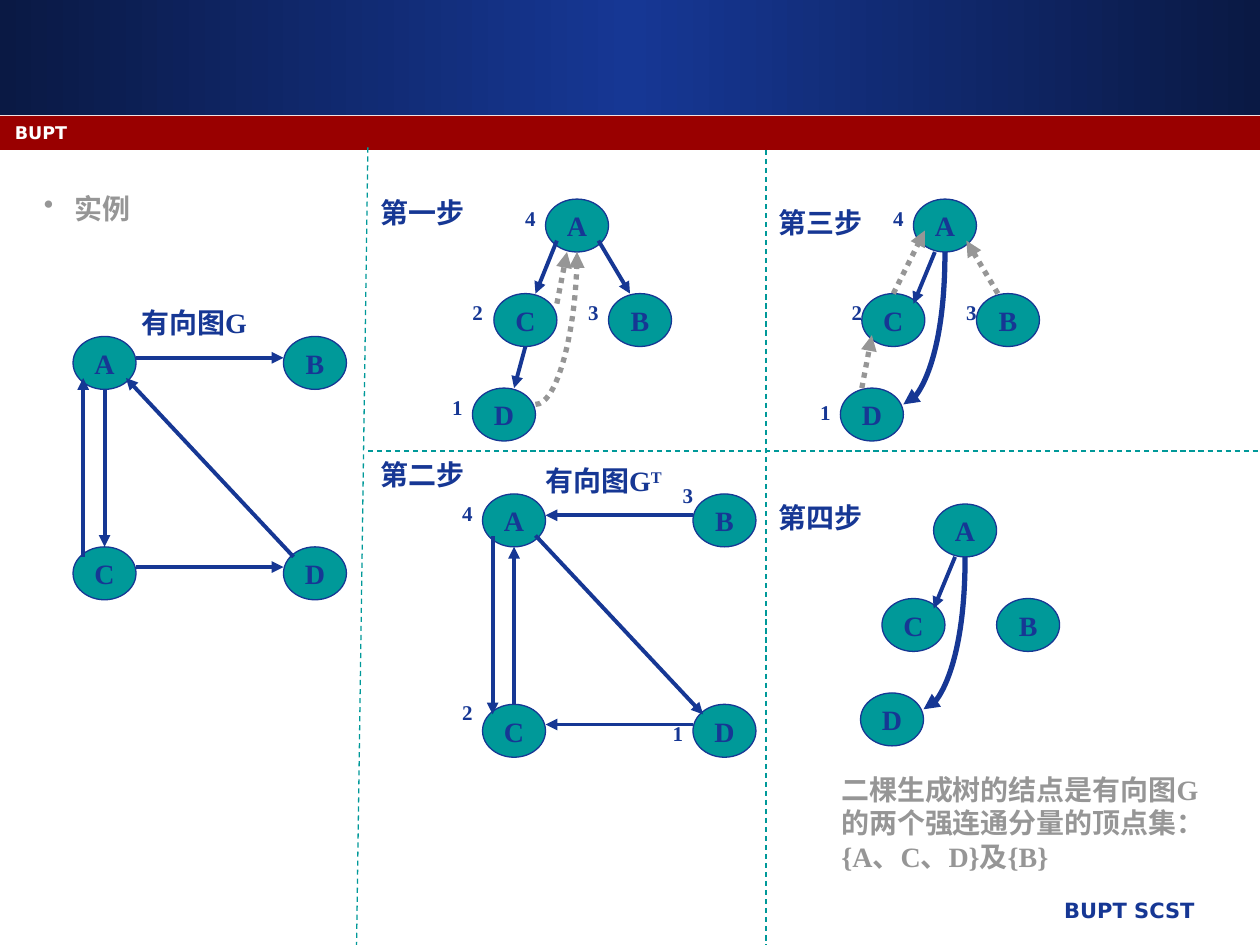
from copy import deepcopy

from lxml import etree
from pptx import Presentation
from pptx.dml.color import RGBColor
from pptx.enum.dml import MSO_LINE
from pptx.enum.shapes import MSO_CONNECTOR, MSO_SHAPE
from pptx.enum.text import MSO_ANCHOR, PP_ALIGN
from pptx.oxml.ns import qn
from pptx.util import Inches, Pt

RECT, OVAL = MSO_SHAPE.RECTANGLE, MSO_SHAPE.OVAL
LINE, CURVE = MSO_CONNECTOR.STRAIGHT, MSO_CONNECTOR.CURVE
DASH, DOTS = MSO_LINE.DASH, MSO_LINE.ROUND_DOT
LEFT, CENTER, RIGHT = PP_ALIGN.LEFT, PP_ALIGN.CENTER, PP_ALIGN.RIGHT
MIDDLE = MSO_ANCHOR.MIDDLE
BLUE, NAVY, RED, TEAL, GRAY, WHITE = "163794", "0A1944", "990000", "009999", "969696", "FFFFFF"
SERIF, SANS = "Times New Roman", "DejaVu Sans"
SQUARE = {"A": (0, 0), "B": (1.67, 0), "C": (0, 1.67), "D": (1.67, 1.67)}
TREE = {"A": (0.58, 0), "B": (1.08, 0.75), "C": (0.17, 0.75), "D": (0, 1.5)}
SIDES = [
    (0.5, 0.17, 1.67, 0.17),
    (0.5, 1.83, 1.67, 1.83),
    (0.25, 0.42, 0.25, 1.67),
    (1.75, 1.75, 0.42, 0.33),
    (0.08, 1.75, 0.08, 0.33),
]
BEND = (0.5, 1.63, 0.83, 0.42)


def paint(target, color):
    """Give a fill or line format a solid colour."""
    target.solid()
    target.fore_color.rgb = RGBColor.from_string(color)


def style(par, size, color, font=SERIF, align=LEFT):
    """Set the bold font and alignment of a paragraph."""
    par.alignment = align
    par.font.size = Pt(size)
    par.font.bold = True
    par.font.name = font
    par.font.color.rgb = RGBColor.from_string(color)


def label(slide, box, text, size=16, color=BLUE, font=SERIF, align=LEFT):
    """Add a wrapped line of text and return its paragraph."""
    frame = slide.shapes.add_textbox(*map(Inches, box)).text_frame
    frame.word_wrap = True
    par = frame.paragraphs[0]
    par.add_run().text = text
    style(par, size, color, font, align)
    return par


def bullet(par):
    """Hang a round bullet before a paragraph."""
    props = par._p.get_or_add_pPr()
    props.set("marL", str(Inches(0.24)))
    props.set("indent", str(Inches(-0.24)))
    mark = etree.Element(qn("a:buChar"), char="•")
    props.insert(0, mark)


def link(slide, spot, ends, color=BLUE, width=2.25, dash=None, tip="tailEnd", kind=LINE):
    """Draw a line whose ends are offsets from a spot."""
    x, y = spot
    x1, y1, x2, y2 = ends
    wire = slide.shapes.add_connector(kind, *map(Inches, (x + x1, y + y1, x + x2, y + y2)))
    wire.line.width = Pt(width)
    paint(wire.line.fill, color)
    if dash:
        wire.line.dash_style = dash
    props = wire._element.spPr
    if kind == CURVE:
        props.find(qn("a:prstGeom")).set("prst", "curvedConnector2")
    if tip:
        etree.SubElement(props.find(qn("a:ln")), qn("a:" + tip), type="triangle")
    etree.SubElement(props, qn("a:effectLst"))


def nodes(slide, spot, places):
    """Draw the named nodes of a graph."""
    for name, (x, y) in places.items():
        node = slide.shapes.add_shape(
            OVAL, Inches(spot[0] + x), Inches(spot[1] + y), Inches(0.5), Inches(0.42))
        node.shadow.inherit = False
        paint(node.fill, TEAL)
        paint(node.line.fill, BLUE)
        node.line.width = Pt(0.75)
        frame = node.text_frame
        frame.word_wrap = False
        frame.vertical_anchor = MIDDLE
        frame.text = name
        style(frame.paragraphs[0], 16, BLUE, align=CENTER)


def ranks(slide, spot, places):
    """Number the nodes from 1 at the given offsets."""
    for rank, (x, y) in enumerate(places, 1):
        box = (spot[0] + x, spot[1] + y, 0.42, 0.3)
        label(slide, box, str(rank), 12, align=CENTER)


def square(slide, spot, tip):
    """Draw the square graph with arrows at the chosen ends."""
    nodes(slide, spot, SQUARE)
    for ends in SIDES:
        link(slide, spot, ends, tip=tip)


def tree(slide, spot, solid, dotted=()):
    """Draw a search tree with its solid and dotted edges."""
    nodes(slide, spot, TREE)
    for ends in solid:
        link(slide, spot, ends)
    for ends in dotted:
        link(slide, spot, ends, GRAY, 3, DOTS)


def frame(slide):
    """Draw the bands, school names and dashed dividers."""
    for top, height in ((0, 0.91), (0.92, 0.27)):
        band = slide.shapes.add_shape(RECT, 0, Inches(top), Inches(10), Inches(height))
        band.shadow.inherit = False
        band.line.fill.background()
        if top:
            paint(band.fill, RED)
            continue
        band.fill.gradient()
        band.fill.gradient_angle = 0
        stops = band._element.spPr.find(qn("a:gradFill")).find(qn("a:gsLst"))
        stops.insert(1, deepcopy(stops[0]))
        for stop, place, color in zip(band.fill.gradient_stops, (0, 0.5, 1), (NAVY, BLUE, NAVY)):
            stop.position = place
            stop.color.rgb = RGBColor.from_string(color)
    label(slide, (4.21, 7.07, 5.37, 0.35), "BUPT SCST", 12, font=SANS, align=RIGHT)
    label(slide, (0.02, 0.92, 9.25, 0.25), "BUPT", 10, WHITE, SANS)
    for ends in ((2.92, 1.17, 2.83, 7.5), (2.92, 3.58, 10, 3.58), (6.08, 1.19, 6.08, 7.5)):
        link(slide, (0, 0), ends, TEAL, 0.75, DASH, None)


def graph(slide, x, y):
    """Show the example graph G."""
    bullet(label(slide, (x - 0.33, y - 1.2, 2.67, 0.37), "实例", color=GRAY))
    label(slide, (x + 0.25, y - 0.29, 1.42, 0.37), "有向图G", align=CENTER)
    square(slide, (x, y), "tailEnd")


def first(slide, x, y):
    """Show the numbered search tree of step one."""
    label(slide, (x - 0.83, y - 0.08, 0.92, 0.37), "第一步")
    tree(slide, (x, y),
         [(0.67, 0.33, 0.5, 0.75), (0.42, 1.17, 0.33, 1.5), (1, 0.33, 1.25, 0.75)],
         [(0.67, 0.83, 0.75, 0.42)])
    link(slide, (x, y), BEND, GRAY, 3, DOTS, kind=CURVE)
    ranks(slide, (x, y), [(-0.33, 1.5), (-0.17, 0.75), (0.75, 0.75), (0.25, 0)])


def second(slide, x, y):
    """Show the reversed graph of step two."""
    label(slide, (x - 0.91, y - 0.34, 0.92, 0.37), "第二步")
    par = label(slide, (x + 0.25, y - 0.29, 1.42, 0.37), "有向图G", align=CENTER)
    power = par.add_run()
    power.text = "T"
    power.font._element.set("baseline", "30000")
    square(slide, (x, y), "headEnd")
    ranks(slide, (x, y), [(1.34, 1.75), (-0.33, 1.58), (1.42, -0.14), (-0.33, 0)])


def third(slide, x, y):
    """Show the reversed search of step three."""
    label(slide, (x - 0.59, y, 0.92, 0.37), "第三步")
    tree(slide, (x, y), [(0.75, 0.42, 0.58, 0.83)],
         [(0.42, 0.75, 0.67, 0.25), (0.17, 1.5, 0.25, 1.08), (1.25, 0.75, 1, 0.33)])
    link(slide, (x, y), BEND, width=3, tip="headEnd", kind=CURVE)
    ranks(slide, (x, y), [(-0.33, 1.54), (-0.08, 0.75), (0.83, 0.75), (0.25, 0)])


def fourth(slide, x, y):
    """Show the final trees and the result of step four."""
    label(slide, (x - 0.75, y - 0.08, 0.92, 0.37), "第四步")
    tree(slide, (x, y), [(0.75, 0.42, 0.58, 0.83)])
    link(slide, (x, y), BEND, width=3, tip="headEnd", kind=CURVE)
    label(slide, (x - 0.25, y + 2.08, 3.17, 0.9),
          "二棵生成树的结点是有向图G的两个强连通分量的顶点集：{A、C、D}及{B}", color=GRAY)


def main():
    """Build and save the slide."""
    deck = Presentation()
    deck.slide_width, deck.slide_height = Inches(10), Inches(7.5)
    slide = deck.slides.add_slide(deck.slide_layouts[6])
    frame(slide)
    graph(slide, 0.58, 2.67)
    first(slide, 3.75, 1.58)
    second(slide, 3.83, 3.92)
    third(slide, 6.67, 1.58)
    fourth(slide, 6.83, 4)
    deck.save("out.pptx")


if __name__ == "__main__":
    main()
